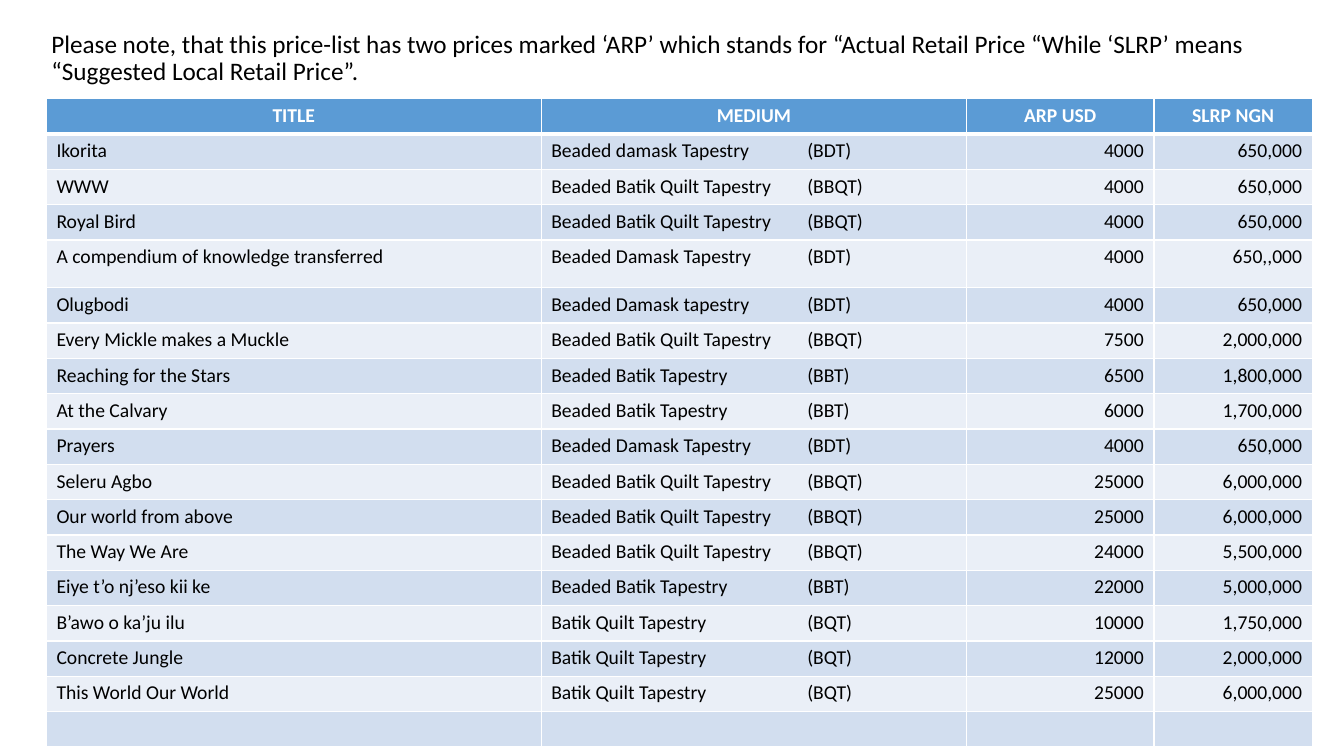
from pptx import Presentation
from pptx.util import Cm, Pt
from pptx.dml.color import RGBColor as RGB
from pptx.enum.text import PP_ALIGN as Align, MSO_ANCHOR as Anchor
from lxml.etree import SubElement as Sub
from pptx.oxml.ns import qn

COLORS = {"head": "5B9BD5", "odd": "D2DEEF", "even": "EAEFF7",
          "line": "FFFFFF", "text": "000000"}
NOTE = ("Please note, that this price-list has two prices marked ‘ARP’ which "
        "stands for “Actual Retail Price “While ‘SLRP’ means “Suggested Local "
        "Retail Price”.")
HEADS = ("TITLE", "MEDIUM", "ARP USD", "SLRP NGN")
WORKS = [
    ("Ikorita", "Beaded damask Tapestry\t(BDT)", "4000", "650,000"),
    ("WWW", "Beaded Batik Quilt Tapestry\t(BBQT)", "4000", "650,000"),
    ("Royal Bird", "Beaded Batik Quilt Tapestry\t(BBQT)", "4000", "650,000"),
    ("A compendium of knowledge transferred",
     "Beaded Damask Tapestry\t(BDT)", "4000", "650,,000"),
    ("Olugbodi", "Beaded Damask tapestry\t(BDT)", "4000", "650,000"),
    ("Every Mickle makes a Muckle",
     "Beaded Batik Quilt Tapestry\t(BBQT)", "7500", "2,000,000"),
    ("Reaching for the Stars", "Beaded Batik Tapestry\t(BBT)", "6500", "1,800,000"),
    ("At the Calvary", "Beaded Batik Tapestry\t(BBT)", "6000", "1,700,000"),
    ("Prayers", "Beaded Damask Tapestry\t(BDT)", "4000", "650,000"),
    ("Seleru Agbo", "Beaded Batik Quilt Tapestry\t(BBQT)", "25000", "6,000,000"),
    ("Our world from above",
     "Beaded Batik Quilt Tapestry\t(BBQT)", "25000", "6,000,000"),
    ("The Way We Are", "Beaded Batik Quilt Tapestry\t(BBQT)", "24000", "5,500,000"),
    ("Eiye t’o nj’eso kii ke", "Beaded Batik Tapestry\t(BBT)", "22000", "5,000,000"),
    ("B’awo o ka’ju ilu", "Batik Quilt Tapestry\t(BQT)", "10000", "1,750,000"),
    ("Concrete Jungle", "Batik Quilt Tapestry\t(BQT)", "12000", "2,000,000"),
    ("This World Our World", "Batik Quilt Tapestry\t(BQT)", "25000", "6,000,000"),
    ("", "", "", ""),
]
WIDTHS = (12.47, 10.72, 4.72, 3.99)
SIDES = (Align.LEFT, Align.LEFT, Align.RIGHT, Align.RIGHT)
ROW, TALL = 0.89, 1.2
STOP = 6.45


def write(frame, text, size=14, color="text", bold=False, align=Align.LEFT):
    """Put one formatted paragraph in a text frame and return it."""
    para = frame.paragraphs[0]
    para.alignment = align
    if not text:
        para._p.get_or_add_endParaRPr().set("sz", str(size * 100))
        return para
    run = para.add_run()
    run.text = text
    font = run.font
    font.name, font.size, font.bold = "Calibri", Pt(size), bold
    font.color.rgb = RGB.from_string(COLORS[color])
    return para


def add_stop(para, pos):
    """Give a paragraph one left tab stop."""
    tabs = Sub(para._p.get_or_add_pPr(), qn("a:tabLst"))
    Sub(tabs, qn("a:tab"), pos=str(Cm(pos)), algn="l")


def edge(cell, top, low):
    """Draw the borders of a cell, with top and bottom widths in points."""
    props = cell._tc.get_or_add_tcPr()
    for side, width in zip("LRTB", (1, 1, top, low)):
        line = Sub(props, qn("a:ln" + side), w=str(Pt(width)))
        Sub(Sub(line, qn("a:solidFill")), qn("a:srgbClr"), val=COLORS["line"])


def add_note(slide, left, top, width, height):
    """Fill the body placeholder with the note above the list."""
    body = slide.placeholders[1]
    body.left, body.top, body.width, body.height = map(Cm, (left, top, width, height))
    frame = body.text_frame
    frame.word_wrap, frame.vertical_anchor = True, Anchor.TOP
    para = write(frame, NOTE, size=18)
    para.line_spacing, para.space_before = 0.9, Pt(0)
    props = para._p.get_or_add_pPr()
    props.set("marL", "0")
    props.set("indent", "0")
    Sub(props, qn("a:buNone"))


def add_list(slide, left, top):
    """Build the price table from its top left corner."""
    rows = [HEADS, *WORKS]
    table = slide.shapes.add_table(
        len(rows), len(HEADS), Cm(left), Cm(top),
        Cm(sum(WIDTHS)), Cm(ROW * len(rows))).table
    for col, width in zip(table.columns, WIDTHS):
        col.width = Cm(width)
    for i, row in enumerate(rows):
        table.rows[i].height = Cm(TALL if i == 4 else ROW)
        tone = "head" if i == 0 else "odd" if i % 2 else "even"
        for j, text in enumerate(row):
            cell = table.cell(i, j)
            edge(cell, 3 if i == 1 else 1, 3 if i == 0 else 1)
            cell.fill.solid()
            cell.fill.fore_color.rgb = RGB.from_string(COLORS[tone])
            if i == 0:
                write(cell.text_frame, text, color="line", bold=True, align=Align.CENTER)
            else:
                para = write(cell.text_frame, text, align=SIDES[j])
                if "\t" in text:
                    add_stop(para, STOP)


def main():
    """Build the slide and save it."""
    deck = Presentation()
    deck.slide_width, deck.slide_height = Cm(33.87), Cm(19.05)
    slide = deck.slides.add_slide(deck.slide_layouts[1])
    title = slide.shapes.title.element
    title.getparent().remove(title)
    add_note(slide, 1.04, 0.66, 31.85, 12.1)
    add_list(slide, 1.17, 2.49)
    deck.save("out.pptx")


if __name__ == "__main__":
    main()
